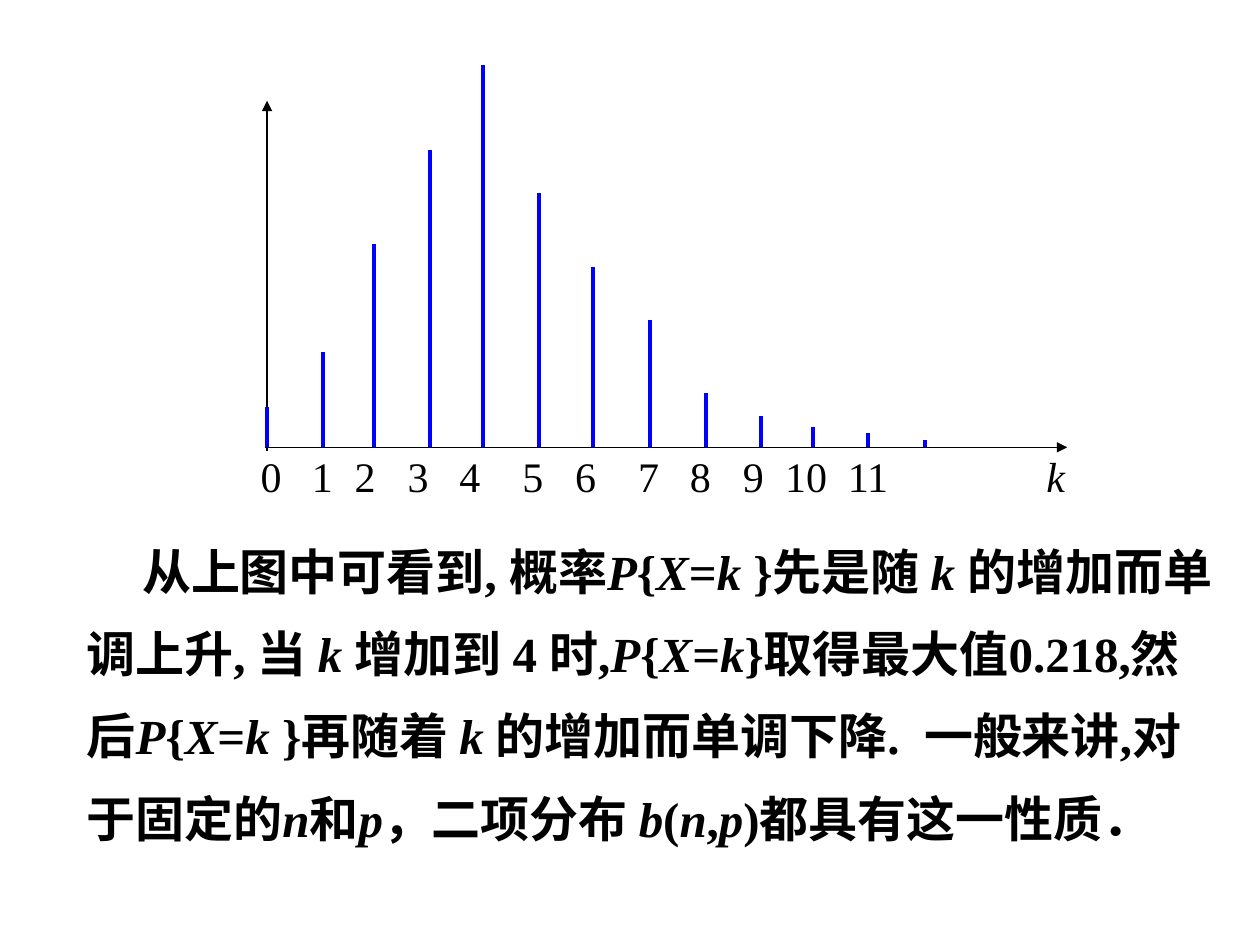
"""Build a slide with a binomial stick plot and its explanation."""
import pptx
import pptx.dml.color
import pptx.enum.shapes
import pptx.enum.text
import pptx.oxml.ns
import pptx.util
from lxml import etree
from pptx.util import Inches

COLORS = {"ink": "000000", "bar": "0000FF"}
FONT = "Times New Roman"
BASE = 3.55
BARS = [
    (2.12, 3.23), (2.56, 2.79), (2.97, 1.94), (3.41, 1.19), (3.83, 0.52),
    (4.28, 1.53), (4.71, 2.12), (5.16, 2.54), (5.6, 3.12), (6.04, 3.3),
    (6.45, 3.39), (6.89, 3.44), (7.34, 3.49),
]
TICKS = [2.56, 2.9, 3.32, 3.73, 4.23, 4.65, 5.15, 5.56, 5.98, 6.4, 6.89, 8.38]
LABEL_LEFT = 1.97
INSET = 0.1
BODY = (
    "从上图中可看到, 概率*P*{*X*=*k *}先是随 *k *的增加而单调上升, "
    "当 *k *增加到 4 时,*P*{*X*=*k*}取得最大值0.218,然后*P*{*X*=*k *}"
    "再随着 *k *的增加而单调下降.  一般来讲,对于固定的*n*和*p*，"
    "二项分布 *b*(*n*,*p*)都具有这一性质．"
)


def get_color(name):
    """Return a named colour."""
    return pptx.dml.color.RGBColor.from_string(COLORS[name])


def add_child(node, tag, **attrs):
    """Append a drawing element to a node."""
    return etree.SubElement(node, pptx.oxml.ns.qn(tag), attrs)


def add_line(slide, start, end, color, width, arrow=False):
    """Draw a straight line, with an arrowhead at its end if asked."""
    kind = pptx.enum.shapes.MSO_CONNECTOR.STRAIGHT
    line = slide.shapes.add_connector(kind, *map(Inches, start + end))
    line.line.color.rgb = get_color(color)
    line.line.width = pptx.util.Pt(width)
    if arrow:
        add_child(line.line._get_or_add_ln(), "a:tailEnd", type="triangle")
    add_child(line._element.spPr, "a:effectLst")


def add_text(slide, box, text, size, bold=False, indent=0, stops=()):
    """Add a paragraph whose starred parts are italic."""
    shape = slide.shapes.add_textbox(*map(Inches, box))
    frame = shape.text_frame
    frame.word_wrap = True
    frame.auto_size = pptx.enum.text.MSO_AUTO_SIZE.SHAPE_TO_FIT_TEXT
    para = frame.paragraphs[0]
    props = para._p.get_or_add_pPr()
    if indent:
        props.set("indent", str(Inches(indent)))
    if stops:
        tabs = add_child(props, "a:tabLst")
        for stop in stops:
            add_child(tabs, "a:tab", pos=str(Inches(stop)), algn="ctr")
    para.font.name = FONT
    para.font.size = pptx.util.Pt(size)
    para.font.bold = bold
    para.font.color.rgb = get_color("ink")
    for index, part in enumerate(text.split("*")):
        if part:
            run = para.add_run()
            run.text = part
            if index % 2:
                run.font.italic = True
    return para


def add_plot(slide):
    """Draw the axes, the sticks and the axis labels."""
    add_line(slide, (2.1, BASE), (8.47, BASE), "ink", 0.75, True)
    add_line(slide, (2.12, 3.58), (2.12, 0.8), "ink", 0.75, True)
    for left, top in BARS:
        add_line(slide, (left, BASE), (left, top), "bar", 2.25)
    labels = "\t".join(map(str, range(12))) + "\t*k*"
    stops = [round(tick - LABEL_LEFT - INSET, 2) for tick in TICKS]
    add_text(slide, (LABEL_LEFT, 3.53, 7.05, 0.5), labels, 24, stops=stops)


def main():
    """Build and save the slide."""
    deck = pptx.Presentation()
    deck.slide_width, deck.slide_height = Inches(10), Inches(7.5)
    slide = deck.slides.add_slide(deck.slide_layouts[6])
    para = add_text(slide, (0.59, 4.06, 9.17, 3.37), BODY, 28, True, 0.44)
    para.line_spacing = 1.4
    add_plot(slide)
    deck.save("out.pptx")


if __name__ == "__main__":
    main()
